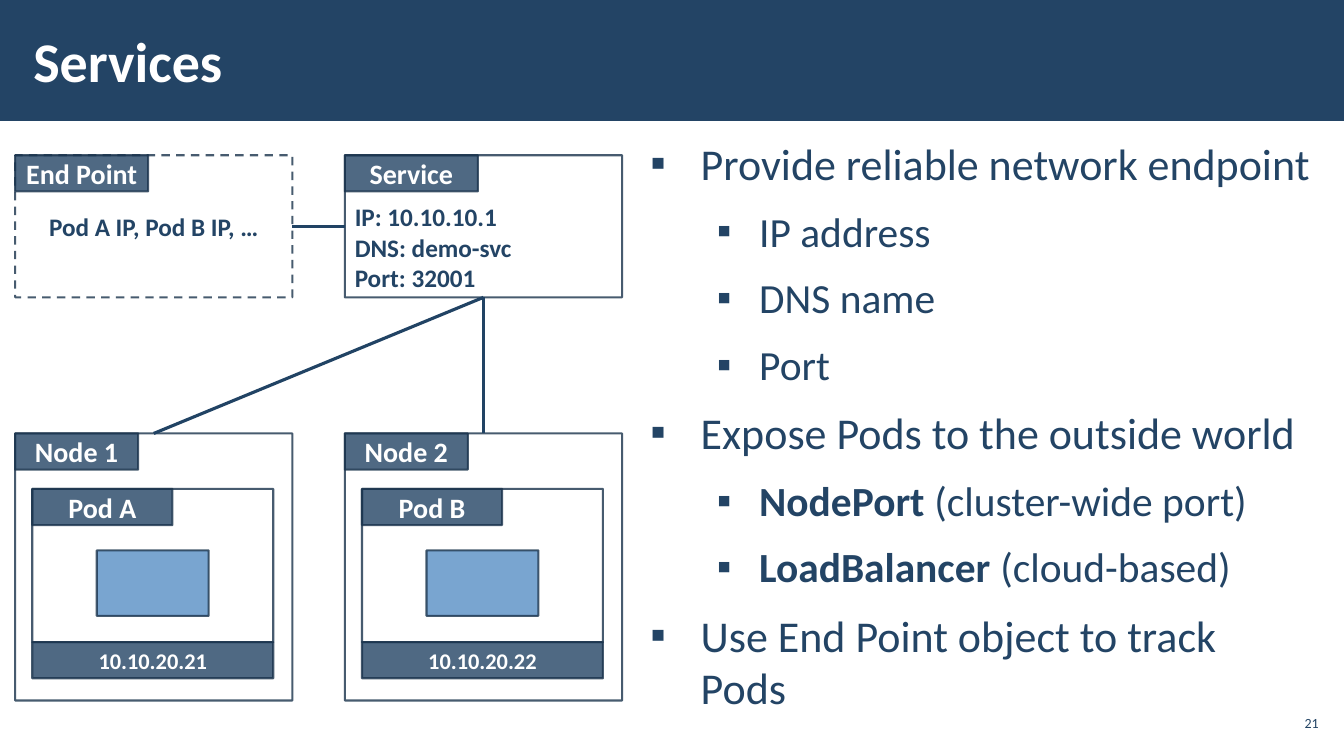
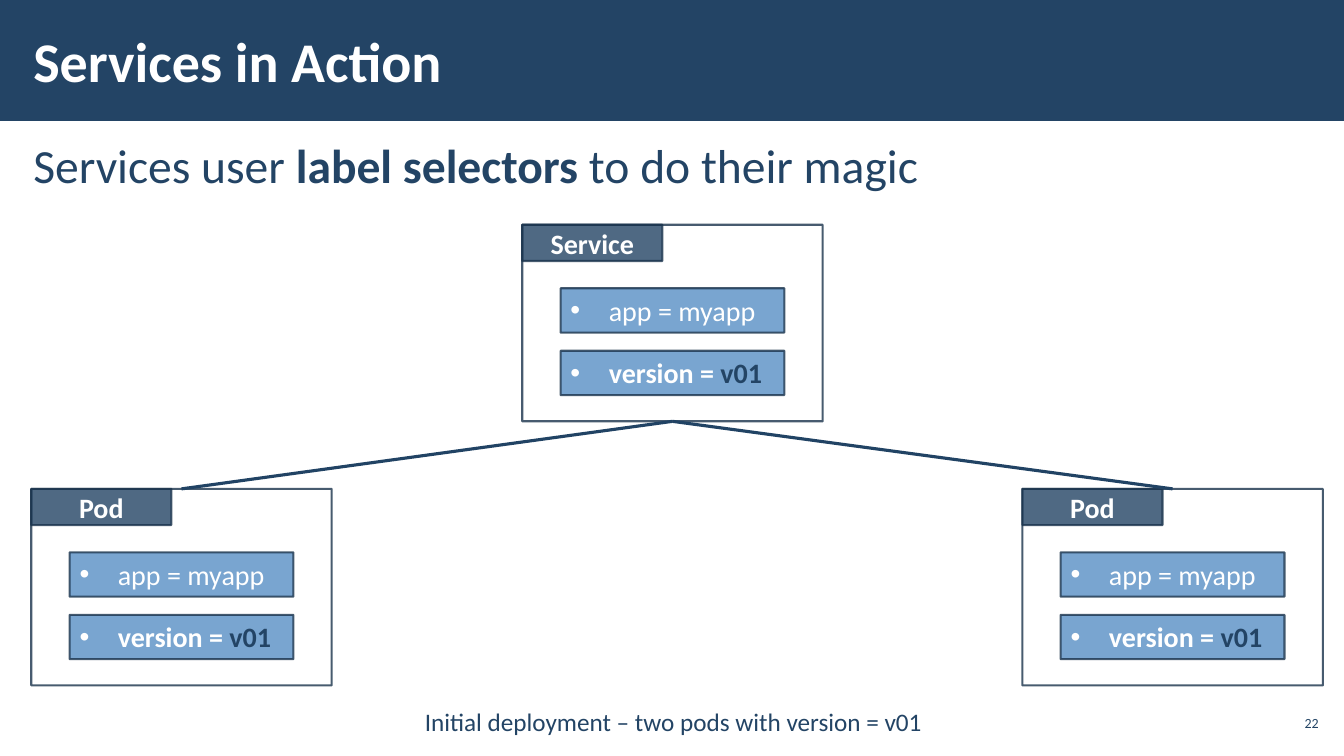
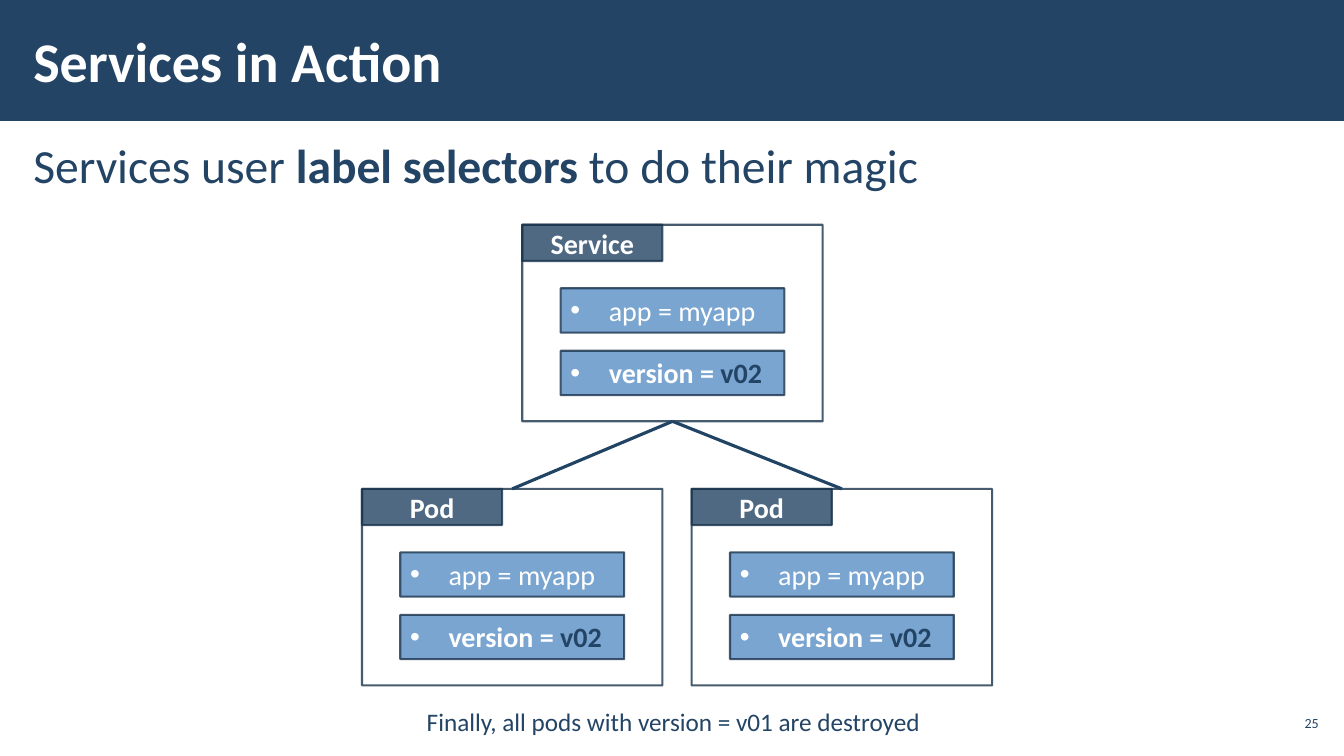
from lxml import etree
from pptx import Presentation
from pptx.dml.color import RGBColor
from pptx.enum import dml, shapes, text
from pptx.oxml.ns import qn
from pptx.util import Inches, Pt

NAVY = RGBColor(0x23, 0x44, 0x65)
OUTLINE = RGBColor(0x1A, 0x33, 0x4C)
LINK = RGBColor(0x21, 0x43, 0x64)
BLUE = RGBColor(0x58, 0x8F, 0xC5)
WHITE = RGBColor(0xFF, 0xFF, 0xFF)
FONT = "Calibri"
LEFT, CENTER, RIGHT = text.PP_ALIGN.LEFT, text.PP_ALIGN.CENTER, text.PP_ALIGN.RIGHT
TOP, MIDDLE, BOTTOM = (text.MSO_ANCHOR.TOP, text.MSO_ANCHOR.MIDDLE,
                       text.MSO_ANCHOR.BOTTOM)
SITE_TOP, SITE_LEFT, SITE_BOTTOM, SITE_RIGHT = range(4)

LABEL_H = 0.36
NODE_W, NODE_H = 2.75, 2.65
INFO_H = 1.41
CARD_W, CARD_H = 2.98, 1.95
NODE_LEFTS = (0.15, 3.42)
LOWER_Y = 4.85


def inches(*values):
    return [Inches(v) for v in values]


def place(sp, box):
    sp.left, sp.top, sp.width, sp.height = inches(*box)


def set_frame(tf, anchor, insets=(0.1, 0.05)):
    tf.word_wrap = True
    tf.auto_size = text.MSO_AUTO_SIZE.NONE
    tf.vertical_anchor = anchor
    tf.margin_left = tf.margin_right = Inches(insets[0])
    tf.margin_top = tf.margin_bottom = Inches(insets[1])


def write(p, runs, size, align=LEFT):
    """Add runs given as (text, colour, bold)."""
    p.alignment = align
    for words, color, bold in runs:
        r = p.add_run()
        r.text = words
        r.font.name, r.font.size, r.font.bold = FONT, Pt(size), bold
        r.font.color.rgb = color


def set_bullet(p, char, margin, hanging):
    """Give the paragraph a hanging bullet, or none if char is empty."""
    pPr = p._p.get_or_add_pPr()
    pPr.set("marL", str(Inches(margin)))
    pPr.set("indent", str(-Inches(hanging)))
    if char:
        etree.SubElement(pPr, qn("a:buFont")).set("typeface", "Arial")
        etree.SubElement(pPr, qn("a:buChar")).set("char", char)
    else:
        etree.SubElement(pPr, qn("a:buNone"))


def add_box(parent, box, fill, anchor=MIDDLE, dashed=False):
    """Add an outlined rectangle that is 80 % opaque."""
    sp = parent.add_shape(shapes.MSO_SHAPE.RECTANGLE, *inches(*box))
    sp.shadow.inherit = False
    sp.fill.solid()
    sp.fill.fore_color.rgb = fill
    sp.line.color.rgb = OUTLINE
    sp.line.width = Pt(1.5)
    if dashed:
        sp.line.dash_style = dml.MSO_LINE.DASH
    for color in sp.element.spPr.iter(qn("a:srgbClr")):
        etree.SubElement(color, qn("a:alpha")).set("val", "80000")
    set_frame(sp.text_frame, anchor)
    return sp


def add_label(parent, box, words, size=20):
    sp = add_box(parent, box, NAVY)
    write(sp.text_frame.paragraphs[0], [(words, WHITE, True)], size, CENTER)


def add_panel(parent, box, title, label_w, **style):
    """Add a box with a label in its top left corner."""
    sp = add_box(parent, box, WHITE, **style)
    add_label(parent, (box[0], box[1], label_w, LABEL_H), title)
    return sp


def connect(s, start, start_site, end, end_site):
    line = s.shapes.add_connector(shapes.MSO_CONNECTOR.STRAIGHT, 0, 0, 0, 0)
    line.begin_connect(start, start_site)
    line.end_connect(end, end_site)
    line.line.color.rgb = LINK
    line.line.width = Pt(2.25)
    etree.SubElement(line.element.spPr, qn("a:effectLst"))


def add_text_box(s, box, words, size, align, anchor, insets):
    tf = s.shapes.add_textbox(*inches(*box)).text_frame
    set_frame(tf, anchor, insets)
    p = tf.paragraphs[0]
    write(p, [(words, NAVY, False)], size, align)
    return p


def add_band(prs, layout, s):
    """Draw the title band and put it behind everything on the layout."""
    band = s.shapes.add_shape(shapes.MSO_SHAPE.RECTANGLE, 0, 0,
                              prs.slide_width, Inches(1.2))
    band.shadow.inherit = False
    band.fill.solid()
    band.fill.fore_color.rgb = NAVY
    band.line.fill.background()
    layout.shapes.element.insert(2, band.element)


def add_slide(prs, title, number, body_box, body):
    """Add title, page number and body; body lists (level, size, bullet, runs)."""
    layout = prs.slide_layouts[1]
    s = prs.slides.add_slide(layout)
    if len(prs.slides) == 1:
        add_band(prs, layout, s)
    place(s.shapes.title, (0.21, 0.11, 10.4, 0.97))
    tf = s.shapes.title.text_frame
    set_frame(tf, MIDDLE, (0.12, 0.04))
    write(tf.paragraphs[0], [(title, WHITE, True)], 40)

    content = s.placeholders[1]
    place(content, body_box)
    tf = content.text_frame
    set_frame(tf, TOP, (0.12, 0.04))
    for i, (level, size, bullet, runs) in enumerate(body):
        p = tf.add_paragraph() if i else tf.paragraphs[0]
        p.level = level
        p.space_before = p.space_after = Pt(6)
        write(p, [(words, NAVY, bold) for words, bold in runs], size)
        set_bullet(p, *bullet)

    add_text_box(s, (12.65, 7, 0.47, 0.34), str(number), 10, RIGHT, MIDDLE,
                 (0.04, 0.04))
    return s


def add_node(s, x, y, name, pod, address):
    """Add a node that holds one pod with its address."""
    group = s.shapes.add_group_shape().shapes
    node = add_panel(group, (x, y, NODE_W, NODE_H), name, 1.22)
    pod_x, pod_y, pod_w, pod_h = x + 0.17, y + 0.55, 2.39, 1.52
    add_panel(group, (pod_x, pod_y, pod_w, pod_h), pod, 1.39)
    add_box(group, (pod_x + 0.64, pod_y + 0.61, 1.11, 0.65), BLUE)
    add_label(group, (pod_x, pod_y + pod_h, pod_w, LABEL_H), address, 16)
    return node


def add_info(s, x, y, title, lines, align, **style):
    group = s.shapes.add_group_shape().shapes
    sp = add_panel(group, (x, y, NODE_W, INFO_H), title, 1.32, **style)
    tf = sp.text_frame
    for i, words in enumerate(lines):
        p = tf.add_paragraph() if i else tf.paragraphs[0]
        write(p, [(words, NAVY, True)], 18, align)
    return sp


def add_card(s, x, y, title, version):
    """Add a service or pod with its two selector labels."""
    group = s.shapes.add_group_shape().shapes
    card = add_panel(group, (x, y, CARD_W, CARD_H), title, 1.39)
    rows = ([("app = myapp", WHITE, False)],
            [("version = ", WHITE, True), (version, NAVY, True)])
    for i, runs in enumerate(rows):
        sp = add_box(group, (x + 0.38, y + 0.63 + i * 0.62, 2.22, 0.44), BLUE, TOP)
        p = sp.text_frame.paragraphs[0]
        write(p, runs, 20)
        set_bullet(p, "•", 0.38, 0.38)
    return card


def services_slide(prs):
    outline = (
        (0, [("Provide reliable network endpoint", False)]),
        (1, [("IP address", False)]),
        (1, [("DNS name", False)]),
        (1, [("Port", False)]),
        (0, [("Expose Pods to the outside world", False)]),
        (1, [("NodePort", True), (" (cluster-wide port)", False)]),
        (1, [("LoadBalancer", True), (" (cloud-based)", False)]),
        (0, [("Use End Point object to track Pods", False)]),
    )
    styles = ((31.4, ("▪", 0.5, 0.5)), (29.6, ("▪", 1.08, 0.42)))
    body = [(level, *styles[level], runs) for level, runs in outline]
    s = add_slide(prs, "Services", 21, (6.33, 1.31, 6.8, 5.69), body)

    left, right = NODE_LEFTS
    node_1 = add_node(s, left, 4.3, "Node 1", "Pod A", "10.10.20.21")
    node_2 = add_node(s, right, 4.3, "Node 2", "Pod B", "10.10.20.22")
    end_point = add_info(s, left, 1.54, "End Point", ["Pod A IP, Pod B IP, …"],
                         CENTER, dashed=True)
    service = add_info(s, right, 1.54, "Service",
                       ["IP: 10.10.10.1", "DNS: demo-svc", "Port: 32001"],
                       LEFT, anchor=BOTTOM)
    connect(s, service, SITE_LEFT, end_point, SITE_RIGHT)
    for node in (node_1, node_2):
        connect(s, service, SITE_BOTTOM, node, SITE_TOP)


def action_slide(prs, number, version, pod_lefts, caption):
    headline = [("Services user ", False), ("label selectors ", True),
                ("to do their magic", False)]
    s = add_slide(prs, "Services in Action", number, (0.21, 1.31, 12.92, 5.69),
                  [(0, 34, ("", 0, 0), headline)])
    service = add_card(s, 5.18, 2.23, "Service", version)
    for x in pod_lefts:
        pod = add_card(s, x, LOWER_Y, "Pod", version)
        connect(s, service, SITE_BOTTOM, pod, SITE_TOP)
    p = add_text_box(s, (2.38, 6.86, 8.6, 0.56), caption, 18, CENTER, TOP,
                     (0.16, 0.12))
    p.line_spacing = 1.1


def main():
    prs = Presentation()
    prs.slide_width, prs.slide_height = inches(13.33, 7.5)
    services_slide(prs)
    action_slide(prs, 22, "v01", (0.31, 10.14),
                 "Initial deployment – two pods with version = v01")
    action_slide(prs, 25, "v02", (3.59, 6.86),
                 "Finally, all pods with version = v01 are destroyed")
    prs.save("out.pptx")


if __name__ == "__main__":
    main()
